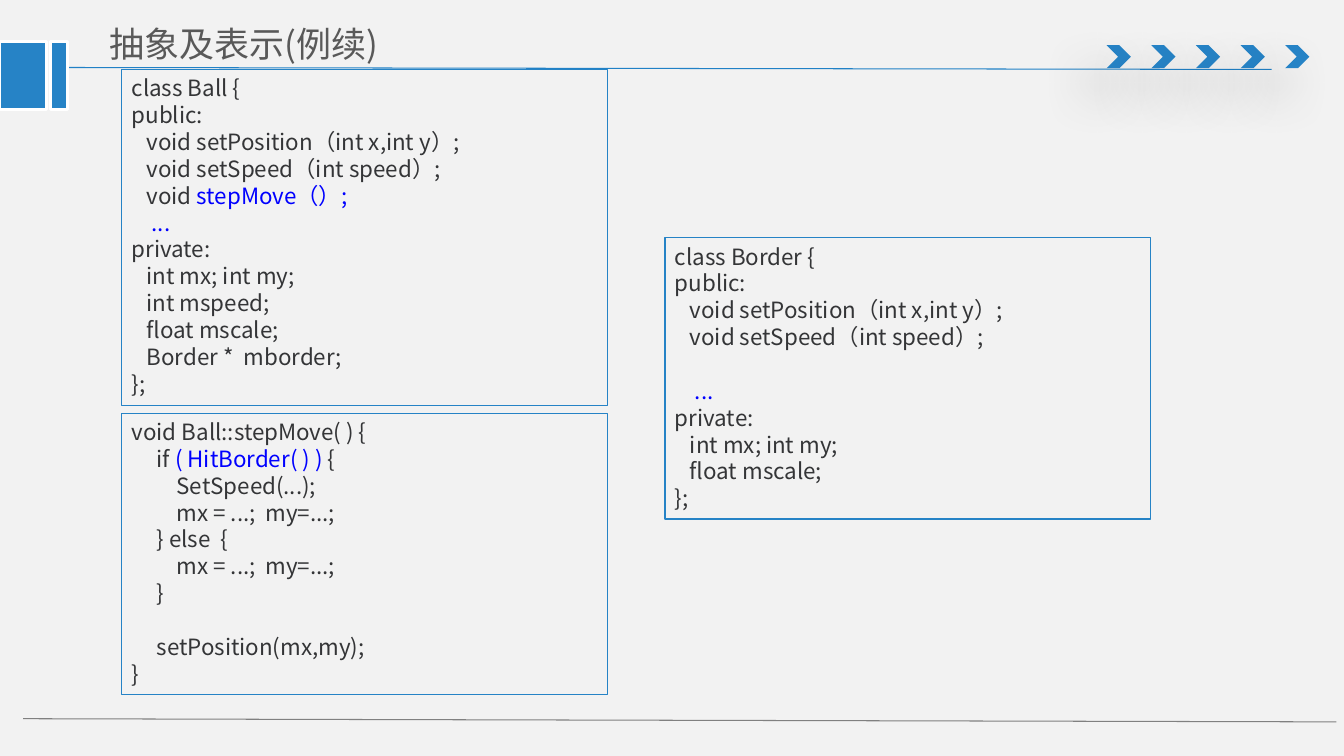
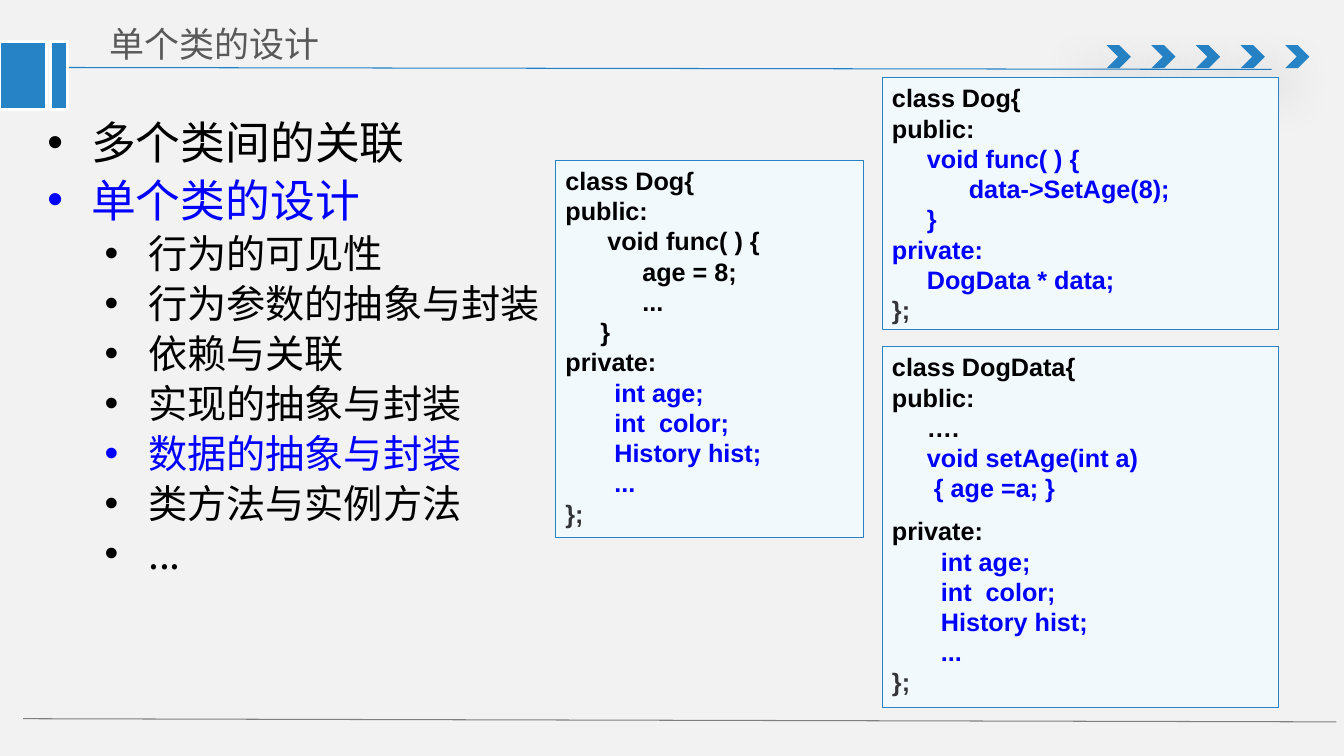
from dataclasses import dataclass

from lxml import etree
from pptx import Presentation, util as u
from pptx.dml.color import RGBColor
from pptx.enum import shapes, text
from pptx.oxml.ns import qn


@dataclass
class Theme:
    back: str = "F2F2F2"
    blue: str = "2683C6"
    rule: str = "2181C6"
    grey: str = "808080"
    white: str = "FFFFFF"
    pale: str = "F2F9FD"
    head: str = "595959"
    ink: str = "343537"
    black: str = "000000"
    mark: str = "0000FF"
    sans: str = "Noto Sans CJK SC"
    arial: str = "Arial"
    title: float = 25
    code: float = 16
    bold: float = 18
    list: float = 32
    sub: float = 28


T = Theme()
rgb = RGBColor.from_string


def put(frame, parts, size=T.code, font=T.sans, bold=False, lead=1.2, gap=0, level=None):
    """Add one paragraph of (colour, text) parts; a newline is a line break."""
    first = not frame.paragraphs[0].runs
    para = frame.paragraphs[0] if first else frame.add_paragraph()
    para.alignment = text.PP_ALIGN.LEFT
    para.line_spacing = u.Pt(round(size * lead, 1))
    para.space_before = u.Pt(0 if first else round(size * gap, 1))
    if level is not None:
        para.level = level
        props = para._p.get_or_add_pPr()
        props.set("marL", str(u.Cm(1.1 + 1.44 * level)))
        props.set("indent", str(u.Cm(-1.1)))
        etree.SubElement(props, qn("a:buFont"), typeface=T.arial)
        etree.SubElement(props, qn("a:buChar"), char="•")
    for hue, words in parts:
        for row, line in enumerate(words.split("\n")):
            if row:
                para.add_line_break()
            if not line:
                continue
            run = para.add_run()
            run.text = line
            run.font.size, run.font.bold, run.font.name = u.Pt(size), bold, font
            run.font.color.rgb = rgb(hue)
            etree.SubElement(run.font._element, qn("a:ea"), typeface=font)


def draw(slide, at, fill=None, line=None, width=0.75, kind=shapes.MSO_SHAPE.RECTANGLE):
    """Add a preset shape without shadow, its text set from the top."""
    shape = slide.shapes.add_shape(kind, *map(u.Cm, at))
    shape.shadow.inherit = False
    if fill:
        shape.fill.solid()
        shape.fill.fore_color.rgb = rgb(fill)
    else:
        shape.fill.background()
    if line:
        shape.line.color.rgb = rgb(line)
        shape.line.width = u.Pt(width)
    else:
        shape.line.fill.background()
    shape.text_frame.word_wrap = True
    shape.text_frame.vertical_anchor = text.MSO_ANCHOR.TOP
    return shape


deck = Presentation()
deck.slide_width, deck.slide_height = u.Cm(33.87), u.Cm(19.05)
master = deck.slide_master

# Shared background and title place
master.background.fill.solid()
master.background.fill.fore_color.rgb = rgb(T.back)
head = master.placeholders[0]
head.left, head.top, head.width, head.height = map(u.Cm, (2.51, 0.36, 11.76, 1.4))
head.text_frame.vertical_anchor = text.MSO_ANCHOR.BOTTOM
head.text_frame.auto_size = text.MSO_AUTO_SIZE.NONE

# Slides and titles
ball = deck.slides.add_slide(deck.slide_layouts[5])
dog = deck.slides.add_slide(deck.slide_layouts[1])
for slide, name in ((ball, "抽象及表示(例续)"), (dog, "单个类的设计")):
    put(slide.shapes.title.text_frame, [(T.head, name)], size=T.title)

# Shared rules, chevrons and left tabs, moved to the master
decor = []
for ends, hue in (((1.35, 1.7, 32.05, 1.75), T.rule), ((0.58, 18.11, 33.68, 18.19), T.grey)):
    rule = ball.shapes.add_connector(shapes.MSO_CONNECTOR.STRAIGHT, *map(u.Cm, ends))
    rule.line.color.rgb = rgb(hue)
    rule.line.width = u.Pt(0.75)
    etree.SubElement(rule.element.spPr, qn("a:effectLst"))
    decor.append(rule)
for i in range(5):
    arrow = draw(ball, (27.89 + 4.5 * i / 4, 1.14, 0.61, 0.58), T.blue,
                 kind=shapes.MSO_SHAPE.CHEVRON)
    glow = etree.SubElement(arrow.element.spPr.find(qn("a:effectLst")), qn("a:outerShdw"),
                            blurRad=str(u.Pt(36)), dist=str(u.Pt(24)),
                            dir=str(130 * 60000), rotWithShape="0")
    tint = etree.SubElement(glow, qn("a:srgbClr"), val=T.black)
    etree.SubElement(tint, qn("a:alpha"), val="38000")
    decor.append(arrow)
for left, wide in ((0, 1.17), (1.27, 0.43)):
    decor.append(draw(ball, (left, 1.04, wide, 1.73), T.blue, T.white, 2))
for i, item in enumerate(decor):
    item.element.xpath(".//p:cNvPr")[0].set("id", str(20 + i))
    master.shapes.element.append(item.element)

# Slide 1: class code
plain = [
    ((3.07, 1.75, 12.24, 8.46), [
        (T.ink, "class Ball {\npublic:\n   void setPosition（int x,int y）;\n"
                "   void setSpeed（int speed）;\n   void "),
        (T.mark, "stepMove（）;\n    ...\n"),
        (T.ink, "private:\n   int mx; int my;\n   int mspeed;\n   float mscale;\n"
                "   Border *  mborder;\n};")]),
    ((3.07, 10.41, 12.24, 7.09), [
        (T.ink, "void Ball::stepMove( ) {\n     if "),
        (T.mark, "( HitBorder( ) )"),
        (T.ink, " {\n         SetSpeed(...);\n         mx = ...;  my=...;\n"
                "     } else  {\n         mx = ...;  my=...;\n     }\n\n"
                "     setPosition(mx,my);\n}")]),
    ((16.76, 5.99, 12.24, 7.09), [
        (T.ink, "class Border {\npublic:\n   void setPosition（int x,int y）;\n"
                "   void setSpeed（int speed）;\n\n"),
        (T.mark, "    ...\n"),
        (T.ink, "private:\n   int mx; int my;\n   float mscale;\n};")]),
]
for at, parts in plain:
    put(draw(ball, at, line=T.blue).text_frame, parts)

# Slide 2: topic list
body = dog.placeholders[1]
body.left, body.top, body.width, body.height = map(u.Cm, (0.94, 2.9, 13.67, 13.61))
body.text_frame.auto_size = text.MSO_AUTO_SIZE.NONE
topics = [
    (0, "多个类间的关联"), (0, "单个类的设计"), (1, "行为的可见性"),
    (1, "行为参数的抽象与封装"), (1, "依赖与关联"), (1, "实现的抽象与封装"),
    (1, "数据的抽象与封装"), (1, "类方法与实例方法"), (1, "..."),
]
for level, name in topics:
    hue = T.mark if name in ("单个类的设计", "数据的抽象与封装") else T.black
    put(body.text_frame, [(hue, name)], size=T.sub if level else T.list,
        lead=1.08, gap=0.2, level=level)

# Slide 2: class code, one list of parts per paragraph
fields = "   int age;\n       int  color;\n       History hist;\n       ...\n"
filled = [
    ((14, 4.04, 7.77, 9.5), [[
        (T.black, "class Dog{\npublic:\n      void func( ) {\n           age = 8;\n"
                  "           ...\n     }\nprivate:\n"),
        (T.mark, "    " + fields), (T.ink, "};")]]),
    ((22.23, 1.96, 9.98, 6.35), [[
        (T.black, "class Dog{\npublic:\n"),
        (T.mark, "     void func( ) {\n           data->SetAge(8);\n     }\nprivate:\n"
                 "     DogData * data;\n"),
        (T.ink, "};")]]),
    ((22.23, 8.74, 9.98, 9.09), [
        [(T.black, "class DogData{\npublic:\n     ….\n"),
         (T.mark, "     void setAge(int a)\n      { age =a; }")],
        [(T.black, "private:\n"), (T.mark, "    " + fields), (T.ink, "};")]]),
]
for at, paras in filled:
    frame = draw(dog, at, T.pale, T.blue).text_frame
    for parts in paras:
        put(frame, parts, size=T.bold, font=T.arial, bold=True, gap=0.5)

deck.save("out.pptx")
